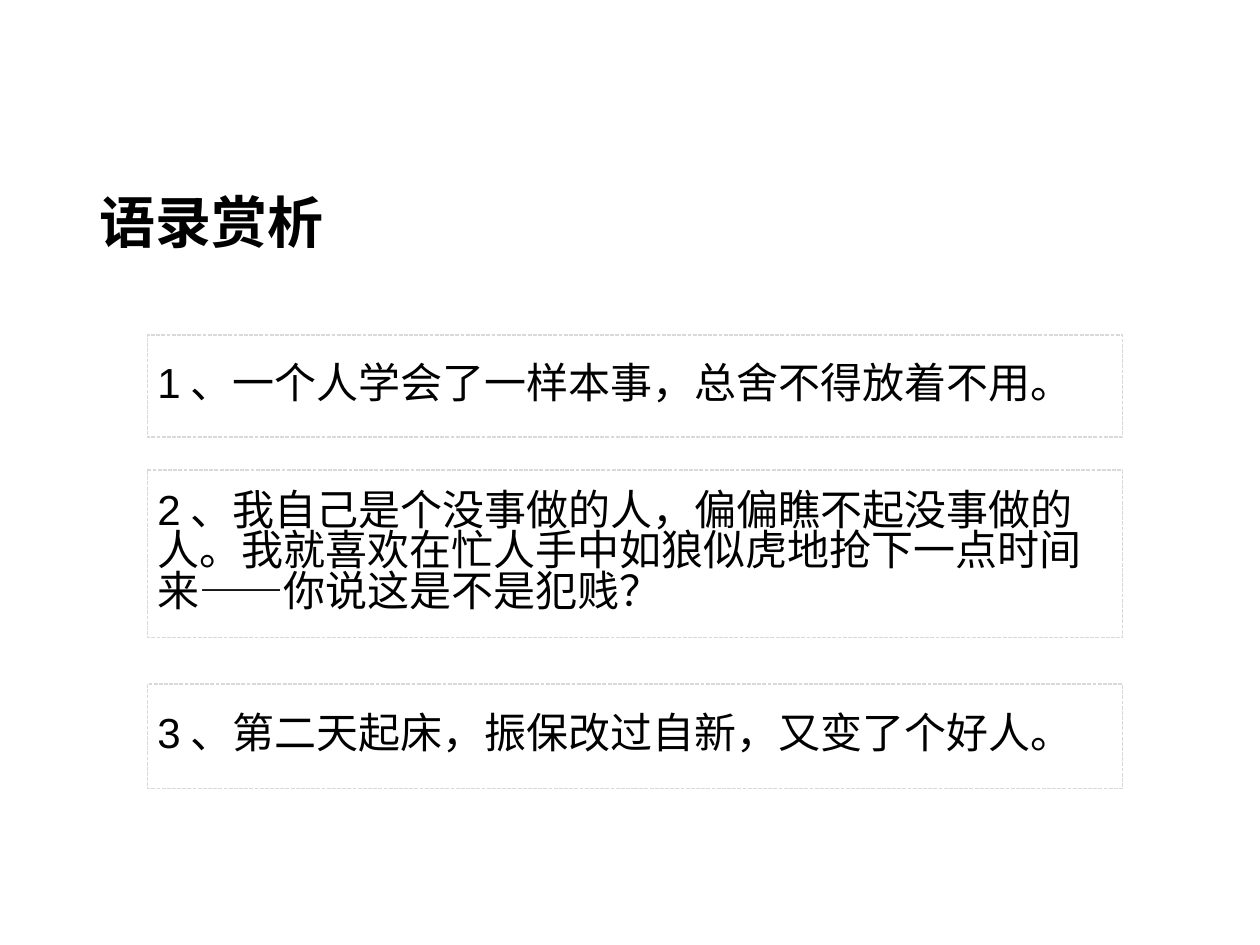
from pptx import Presentation
from pptx import util as u
from pptx.dml.color import RGBColor
from pptx.enum import dml, shapes, text

# Content: each quote with its top and height, as shares of the slide height
TITLE = "语录赏析"
QUOTES = [
    ("1、一个人学会了一样本事，总舍不得放着不用。", 2.66 / 7.5, 0.81 / 7.5),
    ("2、我自己是个没事做的人，偏偏瞧不起没事做的人。"
     "我就喜欢在忙人手中如狼似虎地抢下一点时间来——你说这是不是犯贱？",
     3.73 / 7.5, 1.33 / 7.5),
    ("3、第二天起床，振保改过自新，又变了个好人。", 5.43 / 7.5, 0.83 / 7.5),
]
COLORS = {"text": "000000", "line": "D9D9D9"}
FONT = "Arial"
WIDE, HIGH = u.Inches(10), u.Inches(7.5)


def place(left, top, width, height):
    """Turn shares of the slide into lengths."""
    return (round(left * WIDE), round(top * HIGH),
            round(width * WIDE), round(height * HIGH))


def write(shape, words, size, bold=False, lead=1.0, before=0, pad=(0.1, 0.05)):
    frame = shape.text_frame
    frame.word_wrap = True
    frame.vertical_anchor = text.MSO_ANCHOR.MIDDLE
    frame.margin_left = frame.margin_right = u.Inches(pad[0])
    frame.margin_top = frame.margin_bottom = u.Inches(pad[1])
    para = frame.paragraphs[0]
    para.alignment = text.PP_ALIGN.LEFT
    para.line_spacing = lead
    para.space_before = u.Pt(before)
    run = para.add_run()
    run.text = words
    run.font.name = FONT
    run.font.size = u.Pt(size)
    run.font.bold = bold
    run.font.color.rgb = RGBColor.from_string(COLORS["text"])


deck = Presentation()
deck.slide_width, deck.slide_height = WIDE, HIGH
slide = deck.slides.add_slide(deck.slide_layouts[6])

# Title
head = slide.shapes.add_textbox(*place(0.069, 1.24 / 7.5, 0.863, 1.09 / 7.5))
write(head, TITLE, 32, bold=True, lead=0.9)

# Quotes in dashed frames
for words, top, height in QUOTES:
    box = slide.shapes.add_shape(shapes.MSO_SHAPE.RECTANGLE,
                                 *place(0.117, top, 0.774, height))
    box.shadow.inherit = False
    box.fill.background()
    box.line.color.rgb = RGBColor.from_string(COLORS["line"])
    box.line.width = u.Pt(0.75)
    box.line.dash_style = dml.MSO_LINE.SQUARE_DOT
    write(box, words, 24, lead=0.8, before=9, pad=(0.08, 0.04))

deck.save("out.pptx")
